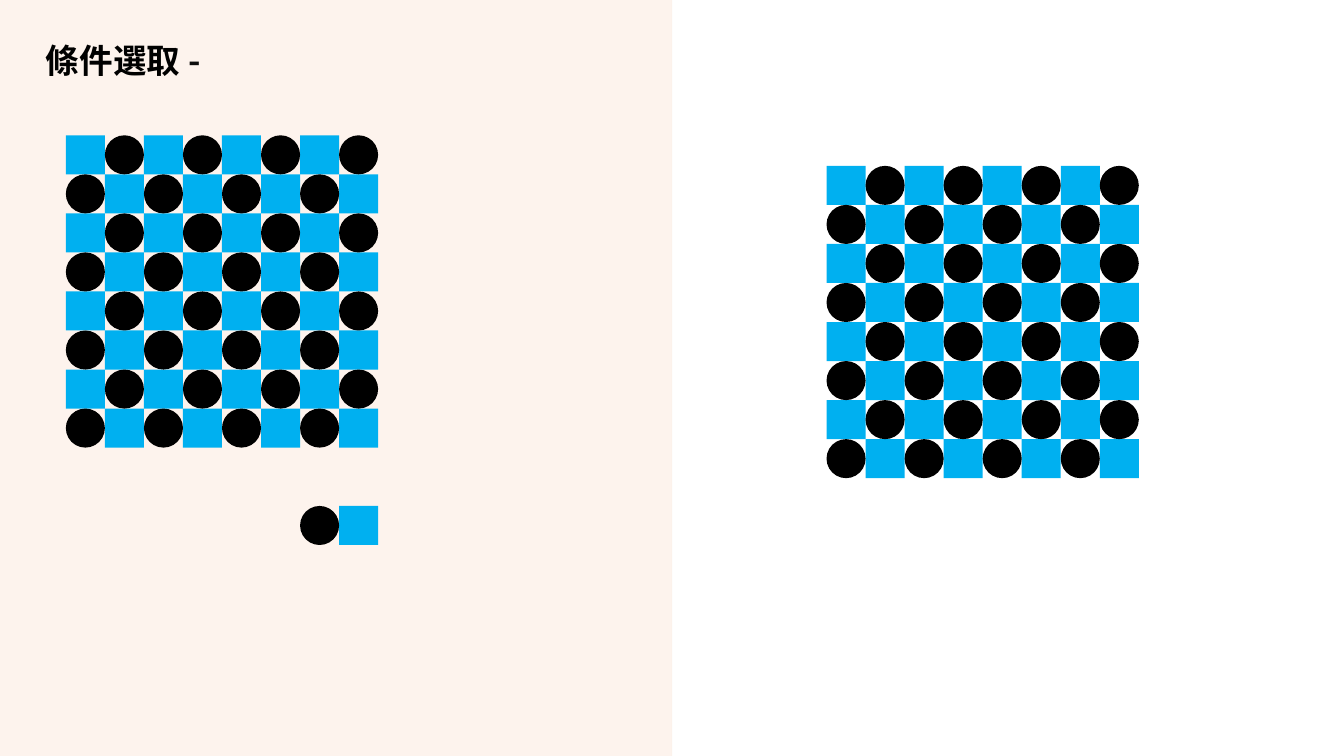
from lxml import etree
from pptx import Presentation
from pptx.dml.color import RGBColor
from pptx.enum.shapes import MSO_CONNECTOR, MSO_SHAPE
from pptx.enum.text import MSO_ANCHOR
from pptx.oxml.ns import qn
from pptx.util import Cm, Pt

SQUARE = MSO_SHAPE.RECTANGLE
DISC = MSO_SHAPE.OVAL
STRAIGHT = MSO_CONNECTOR.STRAIGHT
MIDDLE = MSO_ANCHOR.MIDDLE

COLORS = {
    "panel": "F4B183",
    "divider": "FBE5D6",
    "square": "00B0F0",
    "disc": "000000",
    "title": "000000",
    "dash": "0D0D0D",
}
FONT = "Noto Sans CJK SC"
WIDTH, HEIGHT = 33.87, 19.05
CELLS = 8
CELL = 7.87 / CELLS


def add_span(para, text, *, size, color, bold=False):
    span = para.add_run()
    span.text = text
    span.font.size = Pt(size)
    span.font.bold = bold
    span.font.name = FONT
    span.font.color.rgb = RGBColor.from_string(COLORS[color])
    east_asian = etree.SubElement(span.font._element, qn("a:ea"))
    east_asian.set("typeface", FONT)


def add_block(parent, kind, left, top, width, height, color):
    block = parent.shapes.add_shape(kind, Cm(left), Cm(top), Cm(width), Cm(height))
    block.shadow.inherit = False
    block.fill.solid()
    block.fill.fore_color.rgb = RGBColor.from_string(COLORS[color])
    block.line.fill.background()
    return block


deck = Presentation()
deck.slide_width, deck.slide_height = Cm(WIDTH), Cm(HEIGHT)
page = deck.slides.add_slide(deck.slide_layouts[6])

# Tinted left half and its thin edge
panel = add_block(page, SQUARE, 0, 0, WIDTH / 2, HEIGHT, "panel")
divider = page.shapes.add_connector(STRAIGHT, Cm(WIDTH / 2), Cm(HEIGHT), Cm(WIDTH / 2), Cm(0))
divider.line.width = Pt(0.25)
divider.line.color.rgb = RGBColor.from_string(COLORS["divider"])
etree.SubElement(divider._element.spPr, qn("a:effectLst"))
for item, opacity in ((panel, 14), (divider, 50)):
    tint = item._element.spPr.find(".//" + qn("a:srgbClr"))
    etree.SubElement(tint, qn("a:alpha")).set("val", str(opacity * 1000))

# Title
box = page.shapes.add_textbox(Cm(0.91), Cm(1.02), Cm(15.11), Cm(1.12))
frame = box.text_frame
frame.word_wrap = False
frame.vertical_anchor = MIDDLE
para = frame.paragraphs[0]
para.line_spacing = 0.9
add_span(para, "條件選取 ", size=24, color="title", bold=True)
add_span(para, "-", size=24, color="dash", bold=True)

# Two checkerboards, each with a group of squares and a group of discs;
# the left one has a spare piece of each kind below its last two columns
boards = (
    (1.66, 3.41, 12.75),
    (20.83, 4.18, None),
)
for left, top, spare_top in boards:
    for parity, (kind, color) in enumerate(((SQUARE, "square"), (DISC, "disc"))):
        group = page.shapes.add_group_shape()
        places = [
            (column, top + row * CELL)
            for row in range(CELLS)
            for column in range(CELLS)
            if (row + column) % 2 == parity
        ]
        if spare_top is not None:
            places.append((CELLS - 1 - parity, spare_top))
        for column, piece_top in places:
            add_block(group, kind, left + column * CELL, piece_top, CELL, CELL, color)

deck.save("out.pptx")
